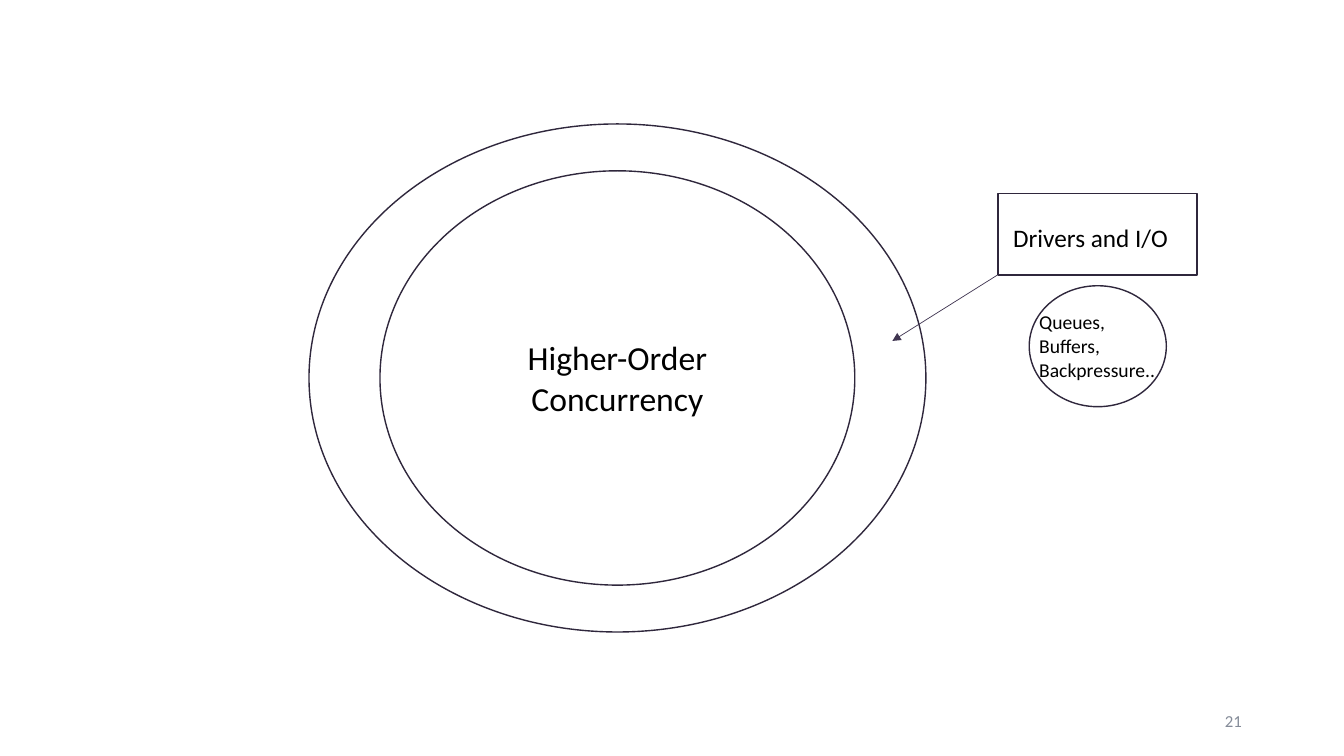
from lxml.etree import SubElement
from pptx import Presentation
from pptx.dml.color import RGBColor
from pptx.enum.shapes import MSO_CONNECTOR, MSO_SHAPE
from pptx.enum.text import MSO_ANCHOR, MSO_AUTO_SIZE, PP_ALIGN
from pptx.oxml.ns import qn
from pptx.util import Inches, Pt

WIDTH, HEIGHT = Inches(13.33), Inches(7.5)
COLORS = {"outline": "2F273C", "arrow": "403551", "text": "000000", "page": "848B98"}
FONT = "Calibri"
RING_CENTER = (45.94, 50)
DRIVERS_CENTER = (81.66, 31)
QUEUES_CENTER = (81.68, 45.8)


def color(name):
    return RGBColor.from_string(COLORS[name])


def col(n):
    return round(WIDTH * n / 100)


def row(n):
    return round(HEIGHT * n / 100)


def box(center, size):
    (cx, cy), (w, h) = center, size
    return col(cx - w / 2), row(cy - h / 2), col(w), row(h)


def add_outline(slide, kind, center, size):
    sp = slide.shapes.add_shape(kind, *box(center, size))
    sp.shadow.inherit = False
    sp.fill.background()
    sp.line.color.rgb = color("outline")
    sp.line.width = Pt(1)


def add_label(slide, text, center, size, points, align=PP_ALIGN.LEFT,
              wrap=False, ink="text", anchor=MSO_ANCHOR.TOP):
    tf = slide.shapes.add_textbox(*box(center, size)).text_frame
    tf.word_wrap = wrap
    tf.auto_size = MSO_AUTO_SIZE.SHAPE_TO_FIT_TEXT if ink == "text" else MSO_AUTO_SIZE.NONE
    tf.vertical_anchor = anchor
    p = tf.paragraphs[0]
    p.text = text
    p.alignment = align
    p.font.name = FONT
    p.font.size = Pt(points)
    p.font.color.rgb = color(ink)


def add_arrow(slide, start, end):
    line = slide.shapes.add_connector(
        MSO_CONNECTOR.STRAIGHT, col(start[0]), row(start[1]), col(end[0]), row(end[1]))
    line.line.color.rgb = color("arrow")
    line.line.width = Pt(0.5)
    SubElement(line.line._get_or_add_ln(), qn("a:tailEnd"), type="triangle")
    SubElement(line._element.spPr, qn("a:effectLst"))


def main():
    prs = Presentation()
    prs.slide_width, prs.slide_height = WIDTH, HEIGHT
    slide = prs.slides.add_slide(prs.slide_layouts[6])

    for size in ((35.33, 54.8), (45.9, 67.2)):
        add_outline(slide, MSO_SHAPE.OVAL, RING_CENTER, size)
    add_label(slide, "Higher-Order Concurrency", RING_CENTER, (15.8, 12.1), 24,
              PP_ALIGN.CENTER, wrap=True)

    add_arrow(slide, (74.2, 36.4), (66.4, 45.1))
    add_outline(slide, MSO_SHAPE.RECTANGLE, DRIVERS_CENTER, (14.8, 10.8))
    add_label(slide, "Drivers and I/O", (81.2, 31.35), (13.1, 5.3), 18)

    add_outline(slide, MSO_SHAPE.OVAL, QUEUES_CENTER, (10.2, 16))
    add_label(slide, "Queues,\vBuffers,\vBackpressure..", QUEUES_CENTER, (10.2, 10.8), 14)

    add_label(slide, "21", (81.9, 95.3), (22.5, 5.3), 12, PP_ALIGN.RIGHT,
              wrap=True, ink="page", anchor=MSO_ANCHOR.MIDDLE)
    prs.save("out.pptx")


if __name__ == "__main__":
    main()
